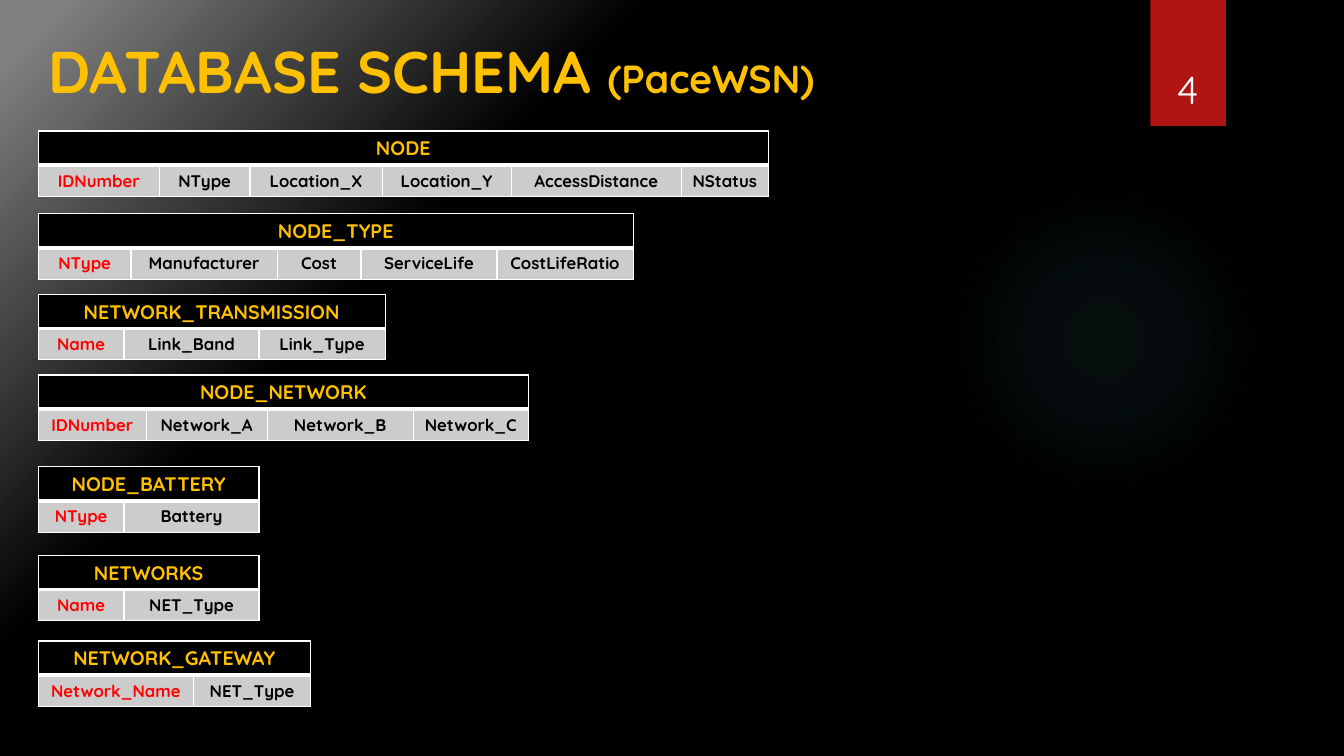
from dataclasses import dataclass

from lxml import etree
from pptx import Presentation
from pptx.dml.color import RGBColor
from pptx.enum.shapes import MSO_SHAPE
from pptx.enum.text import MSO_ANCHOR, PP_ALIGN
from pptx.oxml import parse_xml
from pptx.oxml.ns import nsdecls
from pptx.util import Inches, Pt

CENTER, LEFT = PP_ALIGN.CENTER, PP_ALIGN.LEFT
TOP, BOTTOM = MSO_ANCHOR.TOP, MSO_ANCHOR.BOTTOM
OVAL, RECTANGLE = MSO_SHAPE.OVAL, MSO_SHAPE.RECTANGLE

FONT = "Quicksand"
COLORS = {
    "black": "000000",
    "gray": "808080",
    "glow": "50B9C1",
    "ribbon": "B01513",
    "gold": "FFC000",
    "key": "FF0000",
    "field": "CCCCCC",
    "white": "FFFFFF",
}
TABLE_LEFT = 0.38
HEADER_HEIGHT, FIELD_HEIGHT = 0.34, 0.31
THIN, THICK = 1, 3


@dataclass(frozen=True)
class Stop:
    position: int
    color: str
    opacity: int = 100


@dataclass(frozen=True)
class Span:
    text: str
    size: int
    color: str
    bold: bool = True


@dataclass(frozen=True)
class Relation:
    """A schema table; its first field is the key."""
    name: str
    top: float
    fields: tuple[str, ...]
    widths: tuple[float, ...]


RELATIONS = (
    Relation("NODE", 1.3,
             ("IDNumber", "NType", "Location_X", "Location_Y", "AccessDistance", "NStatus"),
             (1.2, 0.9, 1.31, 1.28, 1.69, 0.86)),
    Relation("NODE_TYPE", 2.12,
             ("NType", "Manufacturer", "Cost", "ServiceLife", "CostLifeRatio"),
             (0.92, 1.45, 0.83, 1.35, 1.35)),
    Relation("NETWORK_TRANSMISSION", 2.92,
             ("Name", "Link_Band", "Link_Type"), (0.85, 1.34, 1.25)),
    Relation("NODE_NETWORK", 3.72,
             ("IDNumber", "Network_A", "Network_B", "Network_C"), (1.07, 1.2, 1.45, 1.14)),
    Relation("NODE_BATTERY", 4.63, ("NType", "Battery"), (0.85, 1.34)),
    Relation("NETWORKS", 5.51, ("Name", "NET_Type"), (0.85, 1.34)),
    Relation("NETWORK_GATEWAY", 6.36, ("Network_Name", "NET_Type"), (1.54, 1.16)),
)


def rgb(name: str) -> RGBColor:
    return RGBColor.from_string(COLORS[name])


def apply_radial_gradient(fill, owner, focus: tuple[int, int, int, int], stops: tuple[Stop, ...]) -> None:
    """Fill the owner element with rings around focus (left, top, right, bottom percent)."""
    fill.solid()
    fill.fore_color.rgb = rgb("black")
    solid = owner.xpath(".//a:solidFill")[0]
    stop_xml = "".join(
        f'<a:gs pos="{stop.position * 1000}"><a:srgbClr val="{COLORS[stop.color]}">'
        f'<a:alpha val="{stop.opacity * 1000}"/></a:srgbClr></a:gs>'
        for stop in stops
    )
    left, top, right, bottom = (edge * 1000 for edge in focus)
    gradient = parse_xml(
        f'<a:gradFill {nsdecls("a")} rotWithShape="1"><a:gsLst>{stop_xml}</a:gsLst>'
        f'<a:path path="circle"><a:fillToRect l="{left}" t="{top}" r="{right}" b="{bottom}"/>'
        f'</a:path></a:gradFill>'
    )
    solid.getparent().replace(solid, gradient)


def add_plain_shape(slide, kind, left: float, top: float, width: float, height: float):
    shape = slide.shapes.add_shape(kind, Inches(left), Inches(top), Inches(width), Inches(height))
    shape.shadow.inherit = False
    shape.line.fill.background()
    return shape


def write_spans(para, spans: tuple[Span, ...], align) -> None:
    para.alignment = align
    for span in spans:
        run = para.add_run()
        run.text = span.text
        run.font.name = FONT
        run.font.size = Pt(span.size)
        run.font.bold = span.bold
        run.font.color.rgb = rgb(span.color)


def add_text(slide, left: float, top: float, width: float, height: float,
             spans: tuple[Span, ...], align, anchor) -> None:
    box = slide.shapes.add_textbox(Inches(left), Inches(top), Inches(width), Inches(height))
    box.text_frame.word_wrap = True
    box.text_frame.vertical_anchor = anchor
    write_spans(box.text_frame.paragraphs[0], spans, align)


def set_borders(cell, top: int, bottom: int) -> None:
    """Draw white borders; the side lines are thin."""
    properties = cell._tc.get_or_add_tcPr()
    sides = (("lnL", THIN), ("lnR", THIN), ("lnT", top), ("lnB", bottom))
    for index, (side, points) in enumerate(sides):
        line = parse_xml(f'<a:{side} {nsdecls("a")} w="{Pt(points)}"/>')
        solid = etree.SubElement(line, line.tag.replace(side, "solidFill"))
        etree.SubElement(solid, line.tag.replace(side, "srgbClr"), val=COLORS["white"])
        properties.insert(index, line)


def fill_cell(cell, fill: str, top: int, bottom: int) -> None:
    cell.fill.solid()
    cell.fill.fore_color.rgb = rgb(fill)
    set_borders(cell, top, bottom)


def add_relation(slide, relation: Relation) -> None:
    table = slide.shapes.add_table(
        2, len(relation.fields), Inches(TABLE_LEFT), Inches(relation.top),
        Inches(sum(relation.widths)), Inches(HEADER_HEIGHT + FIELD_HEIGHT)).table
    table.rows[0].height = Inches(HEADER_HEIGHT)
    table.rows[1].height = Inches(FIELD_HEIGHT)
    header = table.cell(0, 0)
    header.merge(table.cell(0, len(relation.fields) - 1))
    write_spans(header.text_frame.paragraphs[0], (Span(relation.name, 14, "gold"),), CENTER)
    for column, (field, width) in enumerate(zip(relation.fields, relation.widths)):
        table.columns[column].width = Inches(width)
        fill_cell(table.cell(0, column), "black", THIN, THICK)
        cell = table.cell(1, column)
        fill_cell(cell, "field", THICK, THIN)
        color = "black" if column else "key"
        write_spans(cell.text_frame.paragraphs[0], (Span(field, 12, color),), CENTER)


def main() -> None:
    deck = Presentation()
    deck.slide_width, deck.slide_height = Inches(13.33), Inches(7.5)
    page = deck.slides.add_slide(deck.slide_layouts[6])
    background_fill = page.background.fill
    apply_radial_gradient(
        background_fill, page._element, (100, 100, 0, 0),
        (Stop(0, "black"), Stop(23, "black"), Stop(69, "black"), Stop(97, "gray")))

    glow = add_plain_shape(page, OVAL, 9.41, 1.83, 3.08, 3.08)
    apply_radial_gradient(
        glow.fill, glow._element.spPr, (50, 50, 50, 50),
        (Stop(0, "glow", 7), Stop(36, "glow", 6), Stop(69, "glow", 0)))
    ribbon = add_plain_shape(page, RECTANGLE, 11.41, 0, 0.75, 1.25)
    ribbon.fill.solid()
    ribbon.fill.fore_color.rgb = rgb("ribbon")
    add_text(page, 11.32, 0.32, 0.92, 0.84, (Span("4", 28, "white", False),), CENTER, BOTTOM)

    for relation in RELATIONS:
        add_relation(page, relation)
    add_text(page, TABLE_LEFT, 0.3, 8.63, 0.73,
             (Span("DATABASE SCHEMA ", 42, "gold"), Span("(PaceWSN)", 28, "gold")), LEFT, TOP)
    deck.save("out.pptx")


if __name__ == "__main__":
    main()
